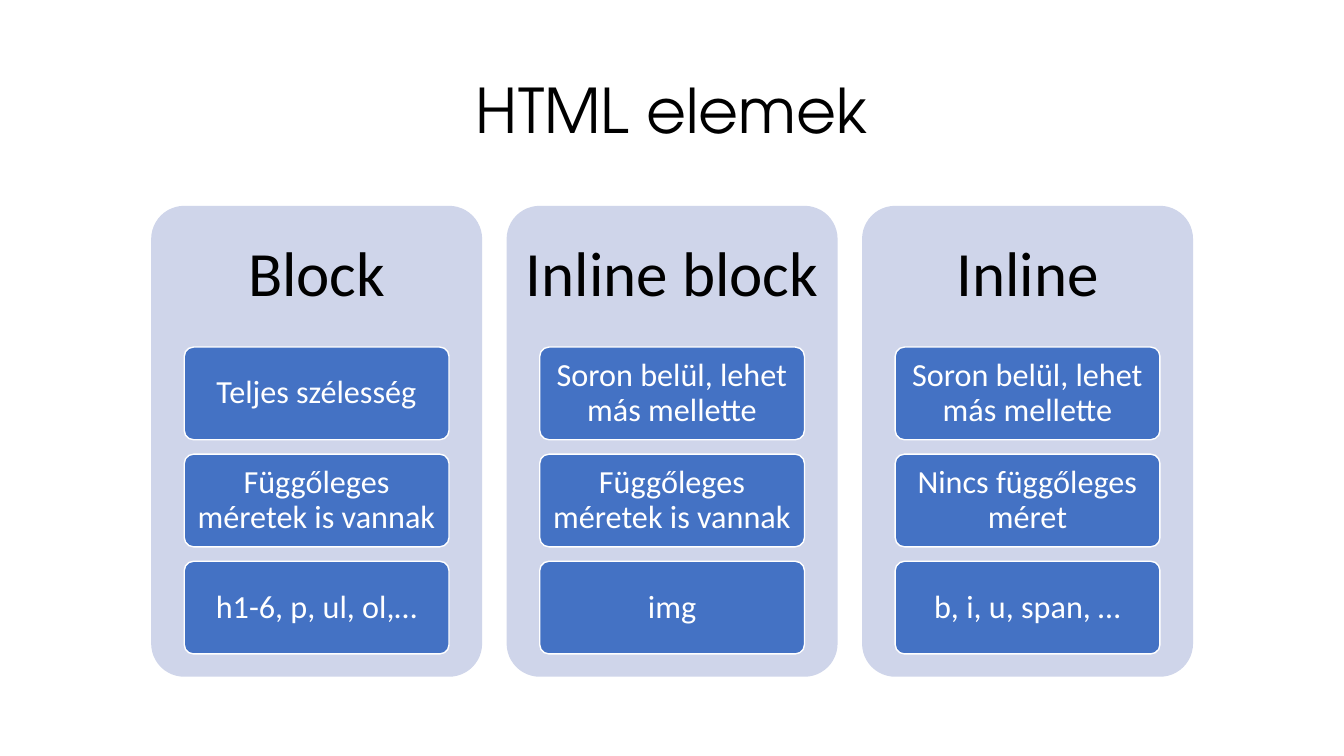
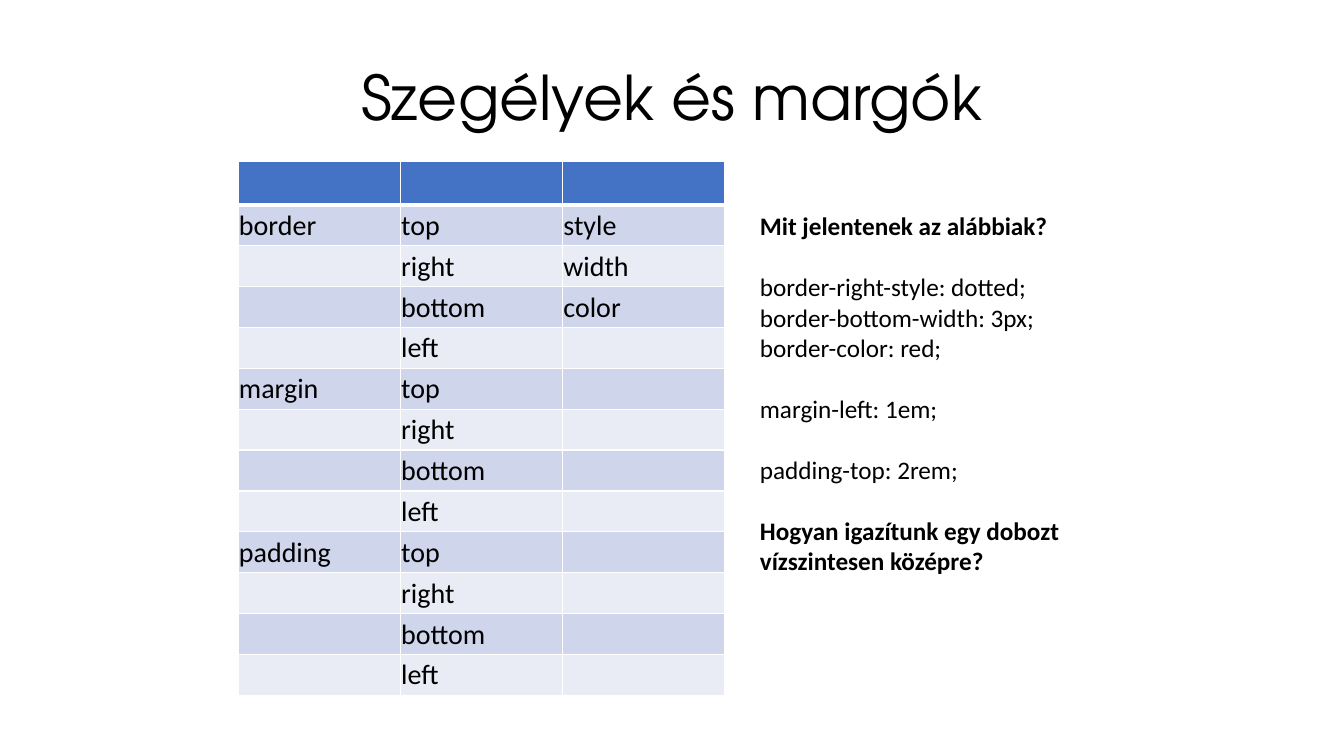
from lxml.etree import SubElement
from pptx import Presentation
from pptx.dml.color import RGBColor
from pptx.enum.shapes import MSO_SHAPE
from pptx.enum.text import MSO_ANCHOR, PP_ALIGN
from pptx.oxml.ns import qn
from pptx.util import Pt

COLORS = {
    "text": "000000",
    "white": "FFFFFF",
    "accent": "4472C4",
    "band": "CFD5EA",
    "light_band": "E9EBF5",
}
TITLE_FONT = "TeX Gyre Adventor"
BODY_FONT = "Calibri"

ELEMENT_KINDS = {
    "Block": ["Teljes szélesség", "Függőleges méretek is vannak", "h1-6, p, ul, ol,…"],
    "Inline block": ["Soron belül, lehet más mellette", "Függőleges méretek is vannak", "img"],
    "Inline": ["Soron belül, lehet más mellette", "Nincs függőleges méret", "b, i, u, span, …"],
}
SIDES = ["top", "right", "bottom", "left"]
BORDER_PARTS = ["style", "width", "color"]
# Each entry: text, bold, space before
QUESTIONS = [
    ("Mit jelentenek az alábbiak?", True, 0),
    ("border-right-style: dotted;", False, 22),
    ("border-bottom-width: 3px;", False, 0),
    ("border-color: red;", False, 0),
    ("margin-left: 1em;", False, 22),
    ("padding-top: 2rem;", False, 22),
    ("Hogyan igazítunk egy dobozt\vvízszintesen középre?", True, 22),
]


def rgb(color):
    return RGBColor.from_string(COLORS[color])


class Deck:
    def __init__(self):
        self.presentation = Presentation()
        self.presentation.slide_width = Pt(960)
        self.presentation.slide_height = Pt(540)
        self.slide = None

    def new_slide(self, title, title_height):
        self.slide = self.presentation.slides.add_slide(self.presentation.slide_layouts[6])
        self.label(title, 66, 28.8, 828, title_height, 44, TITLE_FONT)

    def style(self, paragraph, size, color="text", font=BODY_FONT, bold=False):
        paragraph.font.size = Pt(size)
        paragraph.font.name = font
        paragraph.font.bold = bold
        paragraph.font.color.rgb = rgb(color)

    def centre(self, frame, text, size, color="text", font=BODY_FONT, inset=7.2):
        frame.word_wrap = True
        frame.vertical_anchor = MSO_ANCHOR.MIDDLE
        frame.margin_left = frame.margin_right = Pt(inset)
        paragraph = frame.paragraphs[0]
        paragraph.text = text
        paragraph.alignment = PP_ALIGN.CENTER
        paragraph.line_spacing = 0.9
        self.style(paragraph, size, color, font)

    def label(self, text, left, top, width, height, size, font=BODY_FONT):
        box = self.slide.shapes.add_textbox(Pt(left), Pt(top), Pt(width), Pt(height))
        self.centre(box.text_frame, text, size, font=font)

    def rounded(self, left, top, width, height, fill):
        shape = self.slide.shapes.add_shape(
            MSO_SHAPE.ROUNDED_RECTANGLE, Pt(left), Pt(top), Pt(width), Pt(height))
        shape.adjustments[0] = 0.1
        shape.shadow.inherit = False
        shape.fill.solid()
        shape.fill.fore_color.rgb = rgb(fill)
        shape.line.fill.background()
        return shape

    def card(self, text, left, top, width, height):
        card = self.rounded(left, top, width, height, "accent")
        card.line.color.rgb = rgb("white")
        card.line.width = Pt(1)
        self.centre(card.text_frame, text, 23, "white", inset=4)

    def column(self, heading, details, left):
        """Draw a panel with its heading and a stack of detail cards."""
        top, width = 147, 236.4
        self.rounded(left, top, width, 336.4, "band")
        self.label(heading, left, top, width, 100.9, 45)
        for index, detail in enumerate(details):
            self.card(detail, left + 0.1 * width, top + 100.9 + 76.5 * index, 0.8 * width, 66.2)

    def borders(self, cell, **widths):
        """Give the cell white borders, 1 pt wide unless a side says otherwise."""
        properties = cell._tc.get_or_add_tcPr()
        for side in "LRTB":
            line = SubElement(properties, qn(f"a:ln{side}"), w=str(Pt(widths.get(side, 1))))
            fill = SubElement(line, qn("a:solidFill"))
            SubElement(fill, qn("a:srgbClr"), val=COLORS["white"])

    def table(self, rows, left, top, column_width, header_height, row_height):
        columns = len(rows[0])
        height = header_height + row_height * (len(rows) - 1)
        table = self.slide.shapes.add_table(
            len(rows), columns, Pt(left), Pt(top), Pt(column_width * columns), Pt(height)).table
        for column in table.columns:
            column.width = Pt(column_width)
        for number, texts in enumerate(rows):
            table.rows[number].height = Pt(row_height if number else header_height)
            band = "light_band" if number % 2 == 0 else "band"
            widths = {0: {"B": 3}, 1: {"T": 3}}.get(number, {})
            for cell, text in zip(table.rows[number].cells, texts):
                self.borders(cell, **widths)
                cell.fill.solid()
                cell.fill.fore_color.rgb = rgb(band if number else "accent")
                cell.vertical_anchor = MSO_ANCHOR.MIDDLE
                cell.margin_left = cell.margin_right = cell.margin_top = Pt(0.7)
                cell.margin_bottom = Pt(0)
                paragraph = cell.text_frame.paragraphs[0]
                paragraph.text = text
                self.style(paragraph, 20)

    def text_block(self, entries, left, top, width, height):
        frame = self.slide.shapes.add_textbox(
            Pt(left), Pt(top), Pt(width), Pt(height)).text_frame
        frame.word_wrap = True
        for index, (text, bold, space_before) in enumerate(entries):
            paragraph = frame.add_paragraph() if index else frame.paragraphs[0]
            paragraph.text = text
            paragraph.space_before = Pt(space_before)
            self.style(paragraph, 18, bold=bold)


def property_rows():
    """List the header row, then four sides for each box property."""
    rows = [["", "", ""]]
    for name in ["border", "margin", "padding"]:
        for index, side in enumerate(SIDES):
            has_part = name == "border" and index < len(BORDER_PARTS)
            rows.append([name if index == 0 else "", side, BORDER_PARTS[index] if has_part else ""])
    return rows


def main():
    deck = Deck()
    deck.new_slide("HTML elemek", 104.4)
    for index, (heading, details) in enumerate(ELEMENT_KINDS.items()):
        deck.column(heading, details, 108 + 253.9 * index)

    deck.new_slide("Szegélyek és margók", 86.4)
    deck.table(property_rows(), 170, 115.3, 115.9, 31, 29.2)
    deck.text_block(QUESTIONS, 535.7, 147, 234, 269)
    deck.presentation.save("out.pptx")


if __name__ == "__main__":
    main()
